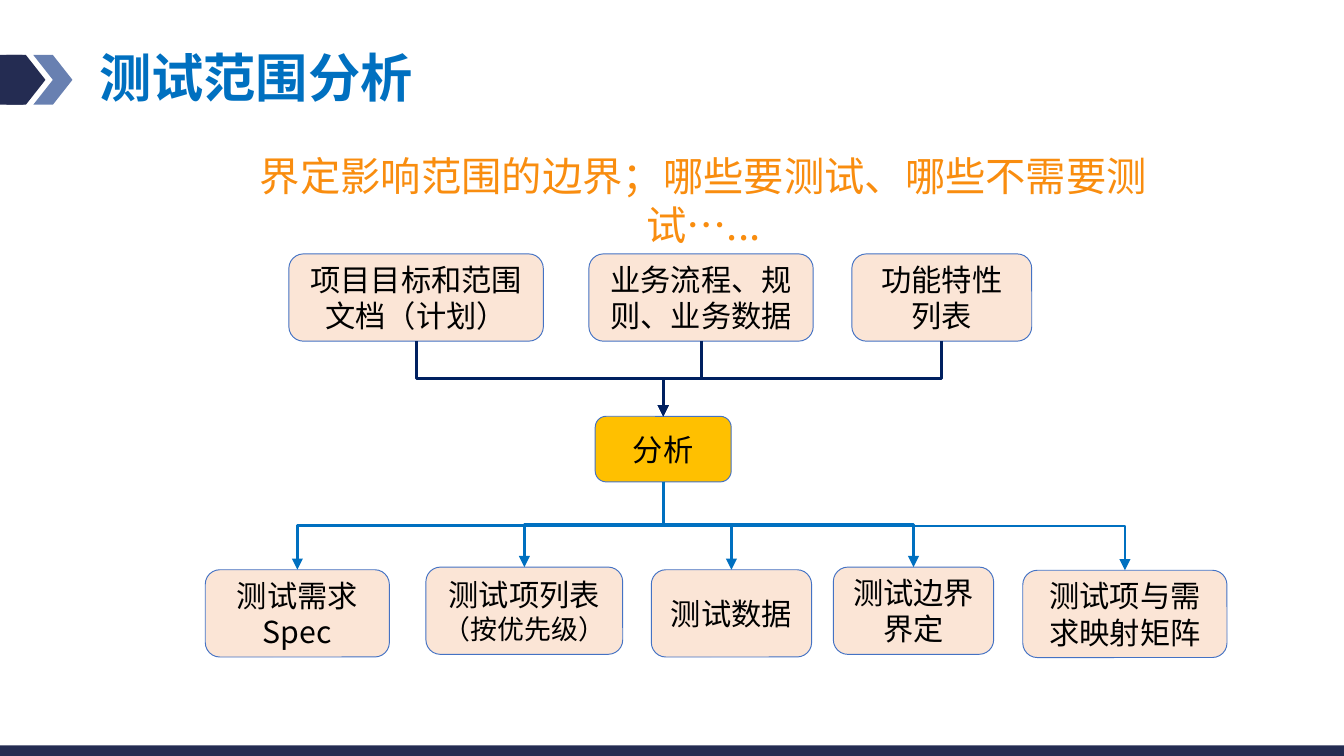
from lxml import etree
from pptx import Presentation
from pptx import util as u
from pptx.dml.color import RGBColor
from pptx.enum import lang, shapes, text
from pptx.oxml import ns

FONT = "Noto Sans CJK SC"
NAVY, SLATE, BLUE, DEEP = "242C52", "6880B1", "0070C0", "002060"
ORANGE, PEACH, GOLD, EDGE = "F98D0F", "FBE5D6", "FFC000", "4472C4"
KIND = shapes.MSO_SHAPE


def paint(part, code):
    """Give a fill a solid colour from a hex string."""
    part.solid()
    part.fore_color.rgb = RGBColor.from_string(code)


class Deck:
    def __init__(self):
        self.prs = Presentation()
        self.prs.slide_width, self.prs.slide_height = u.Cm(25.4), u.Cm(14.29)
        self.slide = self.prs.slides.add_slide(self.prs.slide_layouts[6])

    def letter(self, frame, words, size, color, align=None, bold=False):
        frame.word_wrap = True
        frame.text = words
        for para in frame.paragraphs:
            para.alignment = align
            for run in para.runs:
                font = run.font
                font.size, font.bold, font.name = u.Pt(size), bold, FONT
                font.language_id = lang.MSO_LANGUAGE_ID.SIMPLIFIED_CHINESE
                paint(font.fill, color)
                east = etree.SubElement(run._r.rPr, ns.qn("a:ea"))
                east.set("typeface", FONT)

    def label(self, words, x, y, w, h, *style):
        box = self.slide.shapes.add_textbox(u.Cm(x), u.Cm(y), u.Cm(w), u.Cm(h))
        self.letter(box.text_frame, words, *style)
        return box.text_frame

    def shape(self, kind, fill, x, y, w, h):
        item = self.slide.shapes.add_shape(kind, u.Cm(x), u.Cm(y), u.Cm(w), u.Cm(h))
        item.shadow.inherit = False
        paint(item.fill, fill)
        item.line.fill.background()
        return item

    def node(self, words, x, y, w, h=1.65, fill=PEACH):
        item = self.shape(KIND.ROUNDED_RECTANGLE, fill, x, y, w, h)
        paint(item.line.fill, EDGE)
        item.line.width = u.Pt(0.5)
        frame = item.text_frame
        frame.margin_left = frame.margin_right = u.Cm(0.23)
        frame.margin_top = frame.margin_bottom = u.Cm(0.11)
        frame.vertical_anchor = text.MSO_ANCHOR.MIDDLE
        self.letter(frame, words, 16.2, "000000", text.PP_ALIGN.CENTER)
        return item

    def link(self, start, end, color):
        """Elbow arrow from the bottom of one node to the top of another."""
        x1, y1 = start.left + start.width // 2, start.top + start.height
        x2, y2 = end.left + end.width // 2, end.top
        # The elbow leaves sideways, so its frame is turned by a quarter
        side = 1 if x2 < x1 else -1
        midx, midy = (x1 + x2) // 2, (y1 + y2) // 2
        run, rise = side * (y2 - y1) // 2, abs(x2 - x1) // 2
        line = self.slide.shapes.add_connector(
            shapes.MSO_CONNECTOR.ELBOW,
            midx - run, midy - rise, midx + run, midy + rise)
        line.rotation = 90 if side > 0 else 270
        paint(line.line.fill, color)
        line.line.width = u.Pt(1.5)
        props = line._element.spPr
        tail = etree.SubElement(props.find(ns.qn("a:ln")), ns.qn("a:tailEnd"))
        tail.set("type", "triangle")
        etree.SubElement(props, ns.qn("a:effectLst"))


def main():
    deck = Deck()

    # Title marker and bottom bar
    tab = deck.shape(KIND.ROUNDED_RECTANGLE, NAVY, -0.38, 1.04, 0.89, 0.94)
    tab.adjustments[0] = 0.1
    deck.shape(KIND.CHEVRON, SLATE, 0.63, 1.04, 0.74, 0.94)
    deck.shape(KIND.CHEVRON, NAVY, 0.12, 1.04, 0.74, 0.94)
    deck.shape(KIND.RECTANGLE, NAVY, 0, 14.09, 25.4, 0.33)

    # Headings
    title = deck.label("测试范围分析", 1.63, 0.79, 20.45, 1.45, 28, BLUE, None, True)
    title.vertical_anchor = text.MSO_ANCHOR.MIDDLE
    title.paragraphs[0].line_spacing = 0.9
    lead = deck.label("界定影响范围的边界；哪些要测试、哪些不需要测试…...",
                      3.58, 2.74, 19.43, 1.17, 21.6, ORANGE, text.PP_ALIGN.CENTER)
    lead.margin_left = lead.margin_right = u.Cm(0.4)

    # Inputs, analysis and outputs
    inputs = [deck.node(words, x, 4.8, w) for words, x, w in (
        ("项目目标和范围文档（计划）", 5.46, 4.81),
        ("业务流程、规则、业务数据", 11.13, 4.24),
        ("功能特性列表", 16.1, 3.4))]
    hub = deck.node("分析", 11.25, 7.87, 2.57, 1.24, GOLD)
    outputs = [deck.node(words, x, y, w) for words, x, y, w in (
        ("测试需求Spec", 3.88, 10.77, 3.48),
        ("测试项列表\n（按优先级）", 8.05, 10.72, 3.72),
        ("测试数据", 12.31, 10.77, 3.03),
        ("测试边界界定", 15.75, 10.72, 3.03),
        ("测试项与需求映射矩阵", 19.33, 10.78, 3.86))]
    note = outputs[1].text_frame.paragraphs[1]
    note.runs[0].font.size = u.Pt(14.4)

    # Arrows
    for item in inputs:
        deck.link(item, hub, DEEP)
    for item in outputs:
        deck.link(hub, item, BLUE)

    deck.prs.save("out.pptx")


if __name__ == "__main__":
    main()
